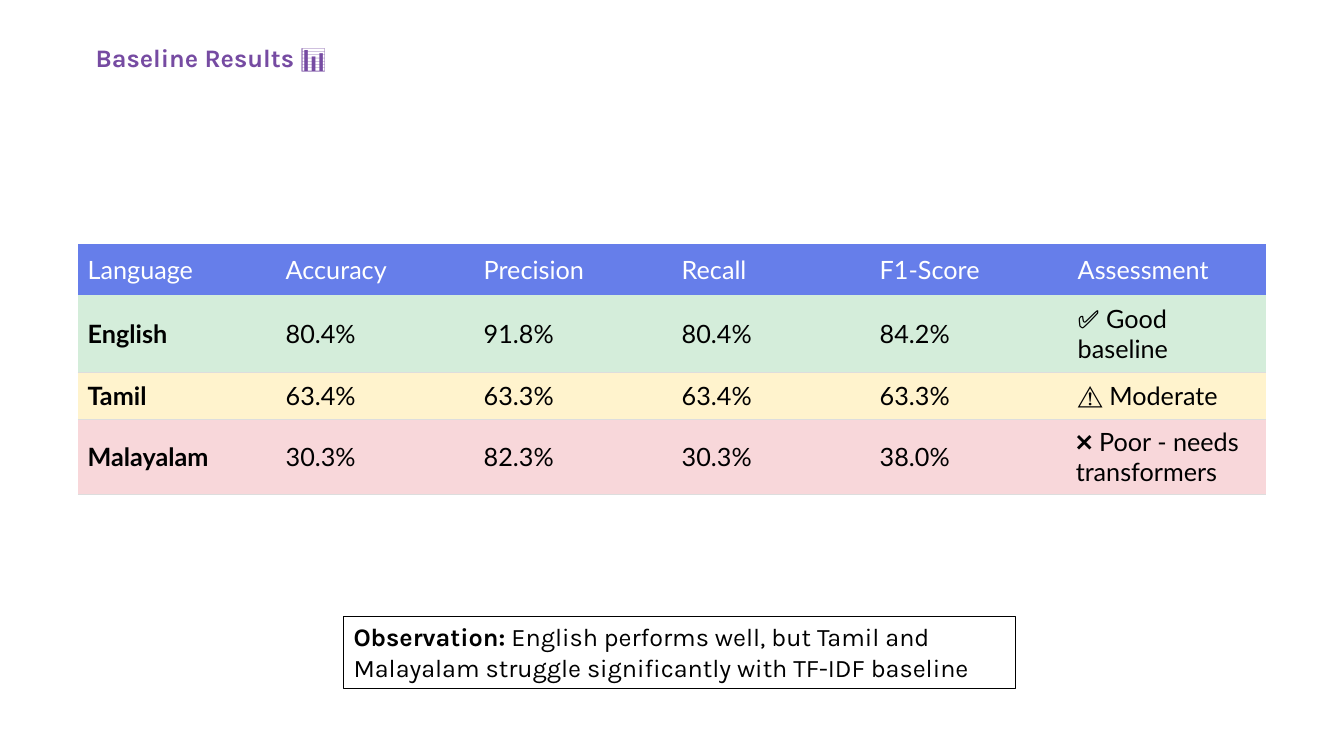
import pptx
import pptx.dml.color
import pptx.enum.shapes
import pptx.enum.text
import pptx.oxml.ns
import pptx.util
from lxml import etree
from pptx.util import Cm

COLORS = {
    "title": "764BA2",
    "header": "667EEA",
    "header text": "FFFFFF",
    "text": "000000",
    "good": "D4EDDA",
    "moderate": "FFF3CD",
    "poor": "F8D7DA",
    "rule": "DDDDDD",
}
TITLE = "Baseline Results 📊"
HEADINGS = ("Language", "Accuracy", "Precision", "Recall", "F1-Score", "Assessment")
RESULTS = [
    # fill, row height in cm, values
    ("good", 1.96, ("English", "80.4%", "91.8%", "80.4%", "84.2%", "✅ Good baseline")),
    ("moderate", 1.17, ("Tamil", "63.4%", "63.3%", "63.4%", "63.3%", "⚠️ Moderate")),
    ("poor", 1.9, ("Malayalam", "30.3%", "82.3%", "30.3%", "38.0%",
                   "❌ Poor - needs transformers")),
]
OBSERVATION = ("Observation:",
               " English performs well, but Tamil and Malayalam struggle "
               "significantly with TF-IDF baseline")
HEADER_HEIGHT = 1.28
TABLE_LEFT, TABLE_TOP, TABLE_WIDTH = 1.96, 6.15, 29.94
NO_STYLE_NO_GRID = "{2D5ABB26-0587-4C30-8999-92F81FD0307C}"


def rgb(name):
    return pptx.dml.color.RGBColor.from_string(COLORS[name])


def add_text(paragraph, text, font="Karla", size=18, color="text", bold=False):
    run = paragraph.add_run()
    run.text = text
    run.font.name = font
    run.font.size = pptx.util.Pt(size)
    run.font.bold = bold
    run.font.color.rgb = rgb(color)


def set_cell_rules(cell, sides):
    """Draw thin rules on the given sides ("T", "B"), ahead of the cell fill."""
    properties = cell._tc.get_or_add_tcPr()
    for position, side in enumerate(sides):
        line = etree.Element(pptx.oxml.ns.qn(f"a:ln{side}"), w=str(pptx.util.Pt(0.5)))
        fill = etree.SubElement(line, pptx.oxml.ns.qn("a:solidFill"))
        etree.SubElement(fill, pptx.oxml.ns.qn("a:srgbClr"), val=COLORS["rule"])
        properties.insert(position, line)


def add_results_table(slide):
    rows = [("header", HEADER_HEIGHT, HEADINGS)] + RESULTS
    total_height = sum(height for _, height, _ in rows)
    table = slide.shapes.add_table(
        len(rows), len(HEADINGS), Cm(TABLE_LEFT), Cm(TABLE_TOP),
        Cm(TABLE_WIDTH), Cm(total_height)).table
    table.first_row = table.horz_banding = False
    table._tbl.tblPr.find(pptx.oxml.ns.qn("a:tableStyleId")).text = NO_STYLE_NO_GRID
    for column in table.columns:
        column.width = Cm(TABLE_WIDTH / len(HEADINGS))

    for row_index, (fill, height, values) in enumerate(rows):
        table.rows[row_index].height = Cm(height)
        is_header = fill == "header"
        for column_index, value in enumerate(values):
            cell = table.cell(row_index, column_index)
            is_verdict_poor = fill == "poor" and column_index == len(values) - 1
            side_margin = 0.2 if is_verdict_poor else 0.25
            end_margin = 0.25 if is_header else 0.18 if is_verdict_poor else 0.2
            cell.margin_left = cell.margin_right = Cm(side_margin)
            cell.margin_top = cell.margin_bottom = Cm(end_margin)
            cell.vertical_anchor = pptx.enum.text.MSO_ANCHOR.MIDDLE
            cell.fill.solid()
            cell.fill.fore_color.rgb = rgb(fill)
            if not is_header:
                set_cell_rules(cell, "B" if row_index == 1 else "TB")
            add_text(cell.text_frame.paragraphs[0], value, font="Lato",
                     color="header text" if is_header else "text",
                     bold=column_index == 0 and not is_header)


def add_title(slide):
    box = slide.shapes.add_textbox(Cm(2.16), Cm(0.94), Cm(6.78), Cm(1.02))
    box.text_frame.word_wrap = True
    box.text_frame.auto_size = pptx.enum.text.MSO_AUTO_SIZE.SHAPE_TO_FIT_TEXT
    paragraph = box.text_frame.paragraphs[0]
    paragraph.space_after = pptx.util.Pt(22.5)
    add_text(paragraph, TITLE, color="title", bold=True)


def add_observation(slide):
    shape = slide.shapes.add_shape(
        pptx.enum.shapes.MSO_SHAPE.RECTANGLE, Cm(8.66), Cm(15.54), Cm(16.94), Cm(1.8))
    shape.shadow.inherit = False
    shape.fill.background()
    shape.line.color.rgb = rgb("text")
    shape.line.width = pptx.util.Pt(0.75)
    frame = shape.text_frame
    frame.word_wrap = True
    frame.auto_size = pptx.enum.text.MSO_AUTO_SIZE.SHAPE_TO_FIT_TEXT
    frame.vertical_anchor = pptx.enum.text.MSO_ANCHOR.TOP
    paragraph = frame.paragraphs[0]
    paragraph.alignment = pptx.enum.text.PP_ALIGN.LEFT
    label, remark = OBSERVATION
    add_text(paragraph, label, bold=True)
    add_text(paragraph, remark)


def main():
    presentation = pptx.Presentation()
    presentation.slide_width = Cm(33.87)
    presentation.slide_height = Cm(19.05)
    slide = presentation.slides.add_slide(presentation.slide_layouts[6])
    add_results_table(slide)
    add_title(slide)
    add_observation(slide)
    presentation.save("out.pptx")


if __name__ == "__main__":
    main()
